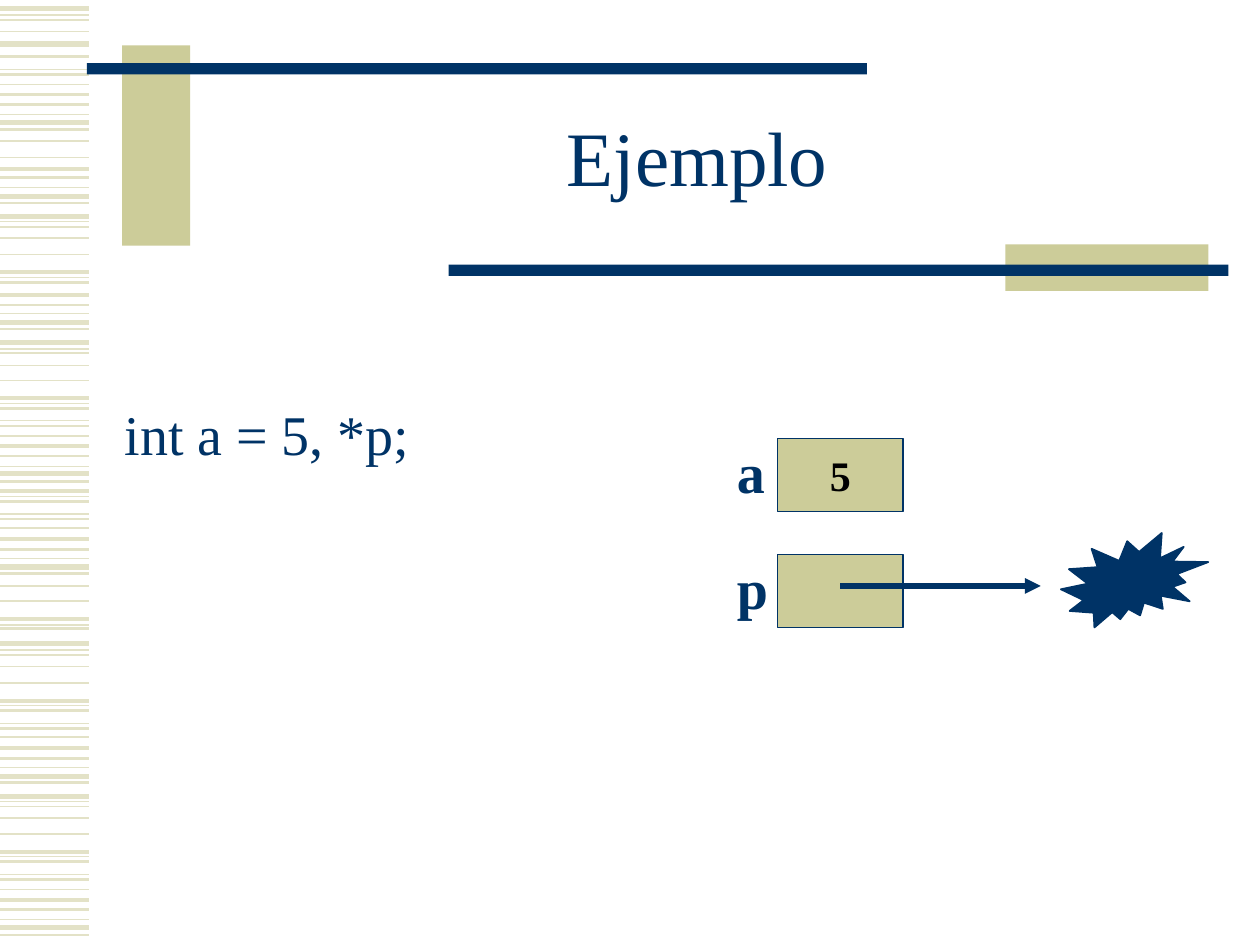
"""Build the "Ejemplo" slide showing a variable and an unassigned pointer."""
from lxml.etree import SubElement
from pptx import Presentation
from pptx.dml.color import RGBColor
from pptx.enum.shapes import MSO_CONNECTOR as Connector, MSO_SHAPE as Preset
from pptx.enum.text import MSO_ANCHOR as Anchor, PP_ALIGN as Align
from pptx.oxml.ns import qn
from pptx.util import Inches, Pt

COLORS = {"navy": "003366", "khaki": "CCCC99", "stripe": "E3E2C7", "black": "000000"}
FONT = "Times New Roman"
TITLE = "Ejemplo"
CODE = "int a = 5, *p;"
VARIABLES = [("a", "5"), ("p", "")]

STRIPE_END = 0.71
STRIPES = {
    0.75: [0.12, 0.55, 0.91, 1.49, 1.76, 2.2, 2.49, 2.77, 3.2, 3.34, 3.7, 3.94,
           4.08, 4.43, 4.96, 5.16, 5.6, 5.74, 6.09, 6.36, 6.8, 6.94, 7.3],
    1: [0.16, 0.25, 0.67, 1.12, 1.25, 1.8, 1.89, 2.02, 2.8, 2.9, 3.02, 3.46,
        4.19, 4.65, 4.77, 5.2, 5.29, 5.42, 5.85, 6.4, 6.49, 6.62, 7.06],
    1.5: [0.45, 0.59, 0.83, 1.03, 1.41, 1.61, 2.24, 2.42, 2.61, 3.24, 3.38, 3.62, 3.82,
          3.98, 4.12, 4.36, 4.55, 4.99, 5.64, 5.78, 6.02, 6.21, 6.84, 6.98, 7.22, 7.42],
    2.25: [0.75, 1.34, 2.16, 2.34, 3.16, 3.54, 3.9, 4.28, 4.91, 5.56, 5.94, 6.76, 7.14],
    3: [0.07, 0.35, 0.97, 1.56, 1.72, 2.56, 2.72, 3.76, 4.5, 5.11, 6.16, 6.32, 7.36],
}
BARS = [
    ("khaki", (0.97, 0.36, 0.54, 1.59)),
    ("navy", (0.69, 0.5, 6.19, 0.09)),
    ("khaki", (7.98, 1.94, 1.61, 0.37)),
    ("navy", (3.56, 2.1, 6.19, 0.09)),
]
CELL_LEFT, CELL_TOP, CELL_WIDTH, CELL_HEIGHT, ROW_PITCH = 6.17, 3.48, 1, 0.58, 0.92
LABEL_LEFT, LABEL_TOP, LABEL_WIDTH, LABEL_HEIGHT = 5.75, 3.42, 0.43, 0.64
ARROW_Y, ARROW_END = 4.65, 8.26


def rgb(name):
    return RGBColor.from_string(COLORS[name])


def add_line(slide, start, end, color, width):
    line = slide.shapes.add_connector(Connector.STRAIGHT, *map(Inches, start + end))
    line.line.color.rgb = rgb(color)
    line.line.width = Pt(width)
    SubElement(line._element.spPr, qn("a:effectLst"))
    return line


def add_block(slide, preset, box, fill, outlined=False):
    shape = slide.shapes.add_shape(preset, *map(Inches, box))
    shape.shadow.inherit = False
    shape.fill.solid()
    shape.fill.fore_color.rgb = rgb(fill)
    if outlined:
        shape.line.color.rgb = rgb("navy")
        shape.line.width = Pt(1)
    else:
        shape.line.fill.background()
    return shape


def write(shape, text, size, color="navy", bold=False, wrap=True, anchor=Anchor.TOP, **layout):
    frame = shape.text_frame
    frame.word_wrap = wrap
    frame.vertical_anchor = anchor
    paragraph = frame.paragraphs[0]
    paragraph.text = text
    for name, value in layout.items():
        setattr(paragraph, name, value)
    for name, value in {"name": FONT, "size": Pt(size), "bold": bold}.items():
        setattr(paragraph.font, name, value)
    paragraph.font.color.rgb = rgb(color)


def add_text(slide, box, text, size, **format_values):
    write(slide.shapes.add_textbox(*map(Inches, box)), text, size, **format_values)


def add_background(slide):
    for width, heights in STRIPES.items():
        for y in heights:
            add_line(slide, (0, y), (STRIPE_END, y), "stripe", width)
    for fill, box in BARS:
        add_block(slide, Preset.RECTANGLE, box, fill)


def add_memory_diagram(slide):
    for row, (name, value) in enumerate(VARIABLES):
        offset = row * ROW_PITCH
        cell_box = (CELL_LEFT, CELL_TOP + offset, CELL_WIDTH, CELL_HEIGHT)
        cell = add_block(slide, Preset.RECTANGLE, cell_box, "khaki", outlined=True)
        if value:
            write(cell, value, 24, "black", bold=True, wrap=False,
                  anchor=Anchor.MIDDLE, alignment=Align.CENTER)
        label_box = (LABEL_LEFT, LABEL_TOP + offset, LABEL_WIDTH, LABEL_HEIGHT)
        add_text(slide, label_box, name, 32, bold=True, wrap=False, alignment=Align.LEFT)
    arrow_start = (CELL_LEFT + CELL_WIDTH / 2, ARROW_Y)
    arrow = add_line(slide, arrow_start, (ARROW_END, ARROW_Y), "navy", 3)
    SubElement(arrow.line._get_or_add_ln(), qn("a:tailEnd"), type="triangle")
    add_block(slide, Preset.EXPLOSION2, (8.42, 4.23, 1.17, 0.75), "navy", outlined=True)


def main():
    presentation = Presentation()
    presentation.slide_width, presentation.slide_height = Inches(10), Inches(7.5)
    slide = presentation.slides.add_slide(presentation.slide_layouts[6])
    add_background(slide)
    add_text(slide, (1.5, 0.67, 8.07, 1.25), TITLE, 44, anchor=Anchor.MIDDLE,
             alignment=Align.CENTER, line_spacing=0.85)
    add_text(slide, (0.89, 3.12, 8.7, 3.54), CODE, 32)
    add_memory_diagram(slide)
    presentation.save("out.pptx")


if __name__ == "__main__":
    main()
